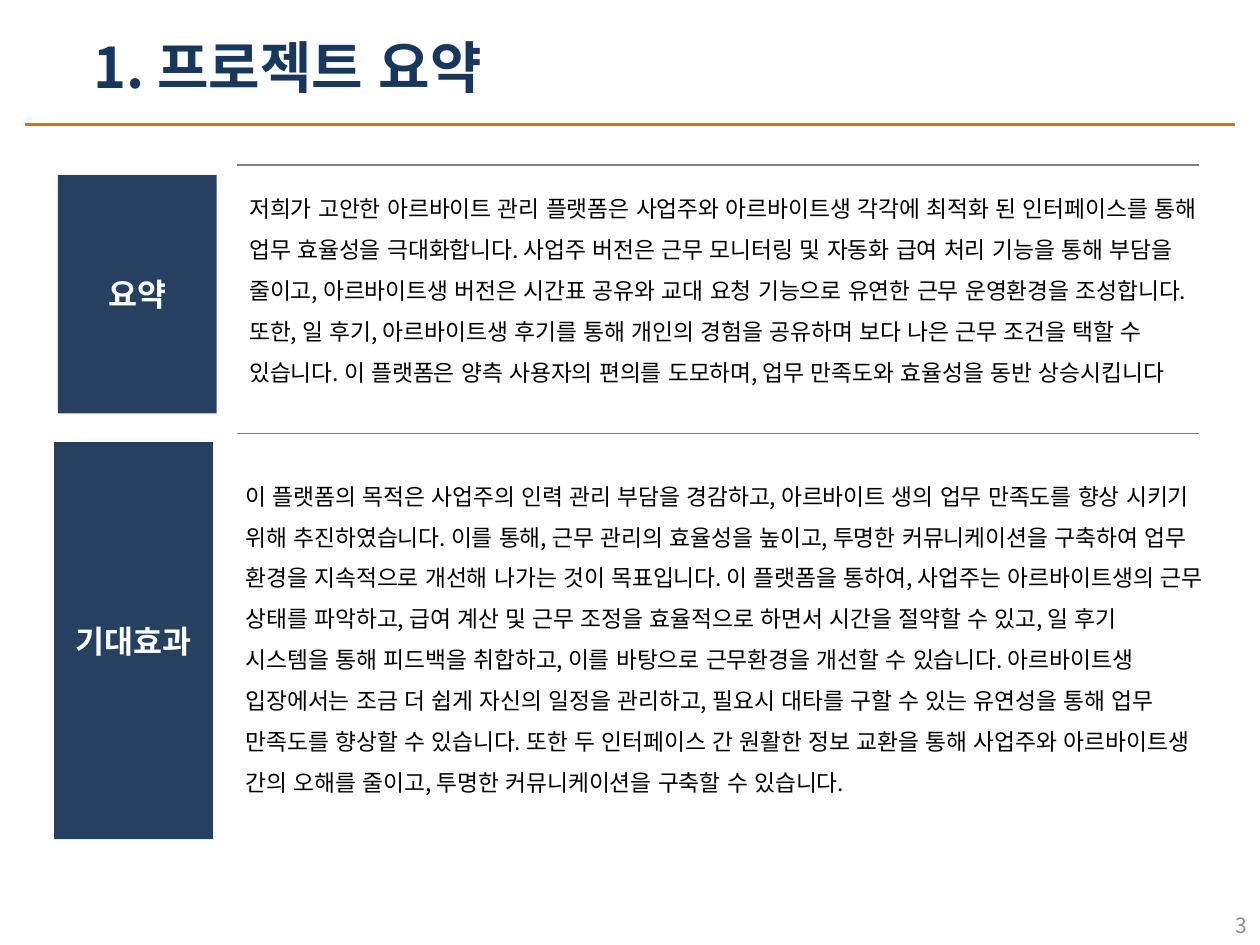
import pptx
import pptx.dml.color
import pptx.enum.lang
import pptx.enum.shapes
import pptx.enum.text
import pptx.oxml
import pptx.oxml.ns
import pptx.util
from pptx.util import Inches

FONT = "Noto Sans CJK KR"
NAVY = "254061"
ALIGN = pptx.enum.text.PP_ALIGN
ANCHOR = pptx.enum.text.MSO_ANCHOR
SUMMARY = (
    "저희가 고안한 아르바이트 관리 플랫폼은 사업주와 아르바이트생 각각에 최적화 된 인터페이스를 통해 "
    "업무 효율성을 극대화합니다. 사업주 버전은 근무 모니터링 및 자동화 급여 처리 기능을 통해 부담을 "
    "줄이고, 아르바이트생 버전은 시간표 공유와 교대 요청 기능으로 유연한 근무 운영환경을 조성합니다. "
    "또한, 일 후기, 아르바이트생 후기를 통해 개인의 경험을 공유하며 보다 나은 근무 조건을 택할 수 "
    "있습니다. 이 플랫폼은 양측 사용자의 편의를 도모하며, 업무 만족도와 효율성을 동반 상승시킵니다"
)
EFFECT = (
    "이 플랫폼의 목적은 사업주의 인력 관리 부담을 경감하고, 아르바이트 생의 업무 만족도를 향상 시키기 "
    "위해 추진하였습니다. 이를 통해, 근무 관리의 효율성을 높이고, 투명한 커뮤니케이션을 구축하여 "
    "업무 환경을 지속적으로 개선해 나가는 것이 목표입니다. 이 플랫폼을 통하여, 사업주는 "
    "아르바이트생의 근무 상태를 파악하고, 급여 계산 및 근무 조정을 효율적으로 하면서 시간을 절약할 수 "
    "있고, 일 후기 시스템을 통해 피드백을 취합하고, 이를 바탕으로 근무환경을 개선할 수 있습니다. "
    "아르바이트생 입장에서는 조금 더 쉽게 자신의 일정을 관리하고, 필요시 대타를 구할 수 있는 유연성을 "
    "통해 업무 만족도를 향상할 수 있습니다. 또한 두 인터페이스 간 원활한 정보 교환을 통해 사업주와 "
    "아르바이트생 간의 오해를 줄이고, 투명한 커뮤니케이션을 구축할 수 있습니다."
)


def paint(color, code):
    color.rgb = pptx.dml.color.RGBColor.from_string(code)


def write(shape, text, size=13, color="000000", bold=False, align=ALIGN.LEFT,
          anchor=ANCHOR.TOP, spacing=1.0, wrap=True):
    frame = shape.text_frame
    frame.word_wrap = wrap
    frame.vertical_anchor = anchor
    para = frame.paragraphs[0]
    para.alignment = align
    para.line_spacing = spacing
    run = para.add_run()
    run.text = text
    run.font.size = pptx.util.Pt(size)
    run.font.bold = bold
    run.font.name = FONT
    run.font.language_id = pptx.enum.lang.MSO_LANGUAGE_ID.KOREAN
    paint(run.font.color, color)
    east = pptx.oxml.parse_xml(
        f'<a:ea {pptx.oxml.ns.nsdecls("a")} typeface="{FONT}"/>')
    run.font._element.find(pptx.oxml.ns.qn("a:latin")).addnext(east)


def add_text(slide, box, text, **style):
    write(slide.shapes.add_textbox(*map(Inches, box)), text, **style)


def add_label(slide, box, text):
    kind = pptx.enum.shapes.MSO_SHAPE.RECTANGLE
    label = slide.shapes.add_shape(kind, *map(Inches, box))
    label.shadow.inherit = False
    label.fill.solid()
    paint(label.fill.fore_color, NAVY)
    label.line.fill.background()
    write(label, text, size=18, color="FFFFFF", bold=True,
          align=ALIGN.CENTER, anchor=ANCHOR.MIDDLE)


def add_rule(slide, left, right, top, color, width):
    kind = pptx.enum.shapes.MSO_CONNECTOR.STRAIGHT
    rule = slide.shapes.add_connector(
        kind, Inches(left), Inches(top), Inches(right), Inches(top))
    paint(rule.line.color, color)
    rule.line.width = pptx.util.Pt(width)
    effects = pptx.oxml.parse_xml(f'<a:effectLst {pptx.oxml.ns.nsdecls("a")}/>')
    rule._element.spPr.append(effects)


def add_section(slide, title, body, label_box, body_box, rule_top):
    add_label(slide, label_box, title)
    add_text(slide, body_box, body, spacing=1.5)
    add_rule(slide, 1.88, 9.52, rule_top, "808080", 1)


def main():
    deck = pptx.Presentation()
    deck.slide_width, deck.slide_height = Inches(10), Inches(7.5)
    slide = deck.slides.add_slide(deck.slide_layouts[6])
    add_rule(slide, 0.2, 9.8, 0.99, "E46C0A", 1.5)
    add_text(slide, (0.64, 0.21, 3.59, 0.64), "1. 프로젝트 요약",
             size=32, color="17375E", bold=True, wrap=False)
    add_section(slide, "요약", SUMMARY, (0.46, 1.39, 1.26, 1.89),
                (1.88, 1.39, 7.8, 2.03), 1.31)
    add_section(slide, "기대효과", EFFECT, (0.43, 3.51, 1.26, 3.15),
                (1.85, 3.67, 7.8, 3.01), 3.44)
    add_text(slide, (7.67, 7.21, 2.33, 0.27), "3", size=12, color="8C8C8C",
             align=ALIGN.RIGHT, anchor=ANCHOR.MIDDLE)
    deck.save("out.pptx")


if __name__ == "__main__":
    main()
